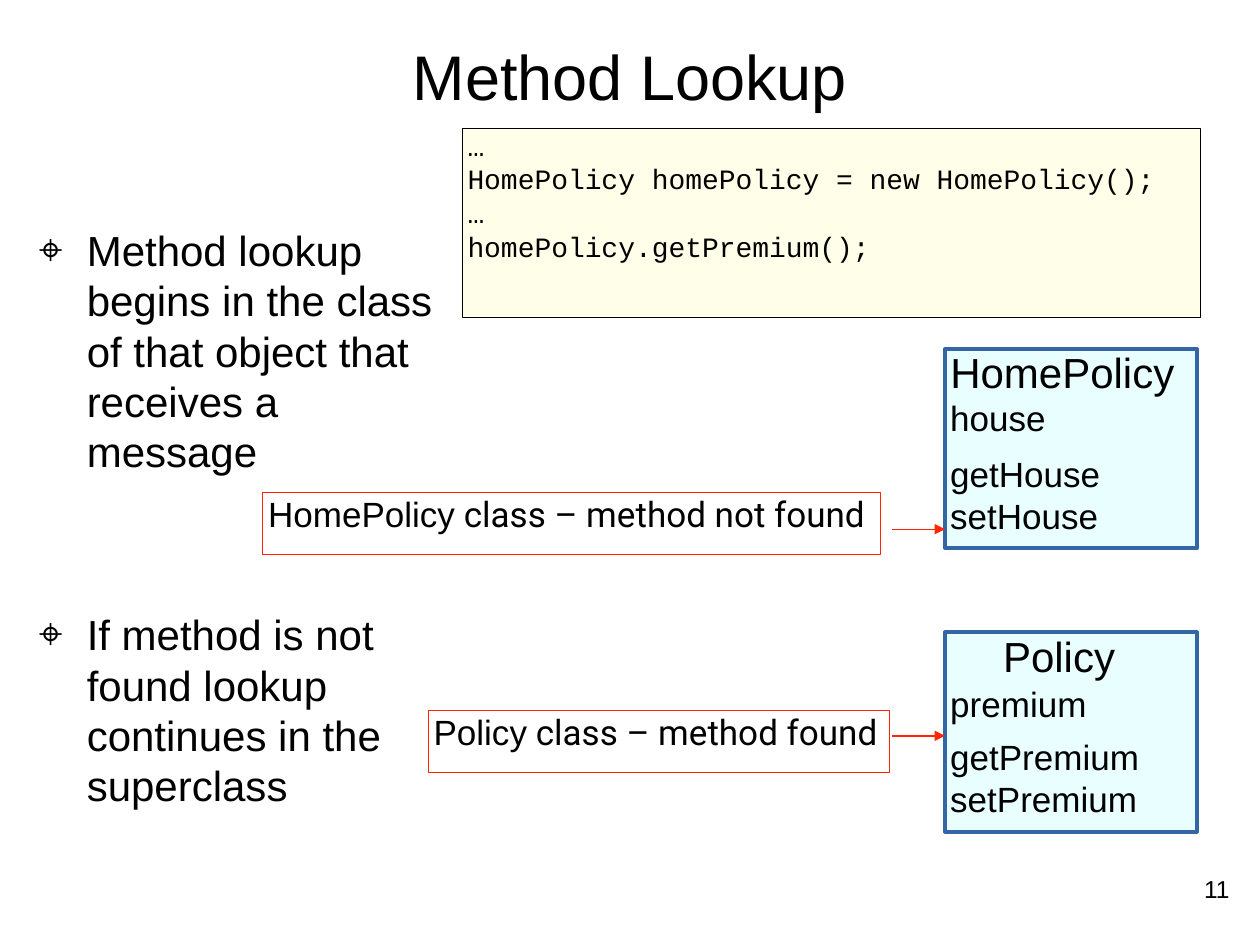
from dataclasses import dataclass

from lxml import etree
from pptx import Presentation
from pptx.dml.color import RGBColor
from pptx.enum.shapes import MSO_CONNECTOR as CONN, MSO_SHAPE as SHAPE
from pptx.enum.text import MSO_ANCHOR as ANCHOR, PP_ALIGN as ALIGN
from pptx.oxml.ns import qn
from pptx.util import Pt

BLACK = RGBColor(0x00, 0x00, 0x00)
RED = RGBColor(0xFF, 0x26, 0x00)
BLUE = RGBColor(0x34, 0x65, 0xA4)
CYAN = RGBColor(0xD4, 0xFE, 0xFF)
CREAM = RGBColor(0xFF, 0xFE, 0xD5)

SANS, MONO, LABEL = "Arial", "Courier New", "Roboto"
CLASS_X, CLASS_W, CLASS_H = 540, 144, 113.8
ARROW_X = 509.8


@dataclass
class ClassBox:
    name: str
    top: float
    name_x: float
    field: str
    field_dy: float
    methods: list[str]


@dataclass
class Step:
    class_name: str
    result: str
    left: float
    top: float
    width: float
    arrow_y: float


CLASSES = [
    ClassBox("HomePolicy", 199.4, 540, "house", 27.4, ["getHouse", "setHouse"]),
    ClassBox("Policy", 361.4, 570.2, "premium", 28.8, ["getPremium", "setPremium"]),
]
STEPS = [
    Step("HomePolicy", " class – method not found", 150.2, 281.5, 352.8, 302.4),
    Step("Policy", " class – method found", 244.8, 406.1, 263.5, 420.5),
]
CODE = ["…", "HomePolicy homePolicy = new HomePolicy();", "…", "homePolicy.getPremium();"]
BULLETS = [
    "Method lookup begins in the class of that object that receives a message",
    "If method is not found lookup continues in the superclass",
]


def prepare(tf, inset: float = 0) -> None:
    tf.word_wrap = True
    tf.vertical_anchor = ANCHOR.TOP
    tf.margin_left = tf.margin_right = tf.margin_top = tf.margin_bottom = Pt(inset)


def add_run(p, text: str, size: float, font: str = SANS) -> None:
    r = p.add_run()
    r.text = text
    r.font.size, r.font.name = Pt(size), font
    r.font.color.rgb = BLACK


def set_indent(p, left: float, first: float = 0, right: float = 0) -> None:
    pPr = p._p.get_or_add_pPr()
    for name, value in (("marL", left), ("marR", right), ("indent", first)):
        pPr.set(name, str(Pt(value)))


def next_paragraph(tf, i: int, size: float):
    p = tf.paragraphs[0] if i == 0 else tf.add_paragraph()
    p.line_spacing = Pt(1.2 * size)
    return p


def add_text(s, x: float, y: float, w: float, h: float, lines: list[str], size: float,
             font: str = SANS, align=ALIGN.LEFT):
    tf = s.shapes.add_textbox(Pt(x), Pt(y), Pt(w), Pt(h)).text_frame
    prepare(tf)
    for i, line in enumerate(lines):
        p = next_paragraph(tf, i, size)
        p.alignment = align
        set_indent(p, 3, right=3)
        add_run(p, line, size, font)
    return tf


def add_rect(s, x: float, y: float, w: float, h: float, line: RGBColor,
             width: float = 0.75, fill: RGBColor | None = None):
    sp = s.shapes.add_shape(SHAPE.RECTANGLE, Pt(x), Pt(y), Pt(w), Pt(h))
    sp.shadow.inherit = False
    sp.line.color.rgb, sp.line.width = line, Pt(width)
    if fill is None:
        sp.fill.background()
    else:
        sp.fill.solid()
        sp.fill.fore_color.rgb = fill
        color = sp.fill._xPr.find(qn("a:solidFill"))[0]
        etree.SubElement(color, qn("a:alpha"), val="50000")
    return sp


def add_arrow(s, x1: float, x2: float, y: float) -> None:
    c = s.shapes.add_connector(CONN.STRAIGHT, Pt(x1), Pt(y), Pt(x2), Pt(y))
    c.line.color.rgb, c.line.width = RED, Pt(0.75)
    etree.SubElement(c.line._get_or_add_ln(), qn("a:tailEnd"), type="triangle")
    etree.SubElement(c._element.spPr, qn("a:effectLst"))


def add_class(s, box: ClassBox) -> None:
    add_rect(s, CLASS_X, box.top, CLASS_W, CLASS_H, BLUE, 2.25, CYAN)
    add_text(s, box.name_x, box.top - 1.4, CLASS_X + 151 - box.name_x, 35, [box.name], 24)
    add_text(s, CLASS_X, box.top + box.field_dy, 128, 32, [box.field], 20)
    add_text(s, CLASS_X, box.top + 59, 128, 55, box.methods, 20)


def add_step(s, step: Step) -> None:
    tf = add_rect(s, step.left, step.top, step.width, 35.3, RED).text_frame
    prepare(tf)
    p = tf.paragraphs[0]
    p.alignment = ALIGN.LEFT
    set_indent(p, 3)
    add_run(p, step.class_name, 20)
    add_run(p, step.result, 20, LABEL)
    add_arrow(s, ARROW_X, CLASS_X, step.arrow_y)


def add_bullets(s) -> None:
    tf = s.shapes.add_textbox(Pt(19.4), Pt(128.2), Pt(245.5), Pt(411.8)).text_frame
    prepare(tf)
    tf.margin_right = Pt(4)
    for i, text in enumerate(BULLETS):
        p = next_paragraph(tf, i, 24)
        if i:
            p.space_before = Pt(75.6)
        set_indent(p, 30.2, -27.4)
        pPr = p._p.get_or_add_pPr()
        color = etree.SubElement(pPr, qn("a:buClr"))
        etree.SubElement(color, qn("a:srgbClr"), val=str(BLACK))
        etree.SubElement(pPr, qn("a:buFont"), typeface=SANS)
        etree.SubElement(pPr, qn("a:buChar"), char="⌖")
        add_run(p, text, 24)


def main() -> None:
    prs = Presentation()
    prs.slide_width, prs.slide_height = Pt(720), Pt(540)
    s = prs.slides.add_slide(prs.slide_layouts[6])

    # Slide number, title and bullets
    add_text(s, 516.2, 499.7, 189.4, 23.8, ["11"], 14, align=ALIGN.RIGHT)
    title = add_text(s, 36, 0, 648, 85.7, ["Method Lookup"], 36, align=ALIGN.CENTER)
    prepare(title, 4.3)
    title.vertical_anchor = ANCHOR.MIDDLE
    add_bullets(s)

    # Code sample
    add_rect(s, 264.2, 73.4, 421.9, 108, BLACK, fill=CREAM)
    add_text(s, 264.2, 73.4, 421.9, 80, CODE, 16, MONO)

    # Classes and the lookup steps that point to them
    for box in CLASSES:
        add_class(s, box)
    for step in STEPS:
        add_step(s, step)

    prs.save("out.pptx")


if __name__ == "__main__":
    main()
